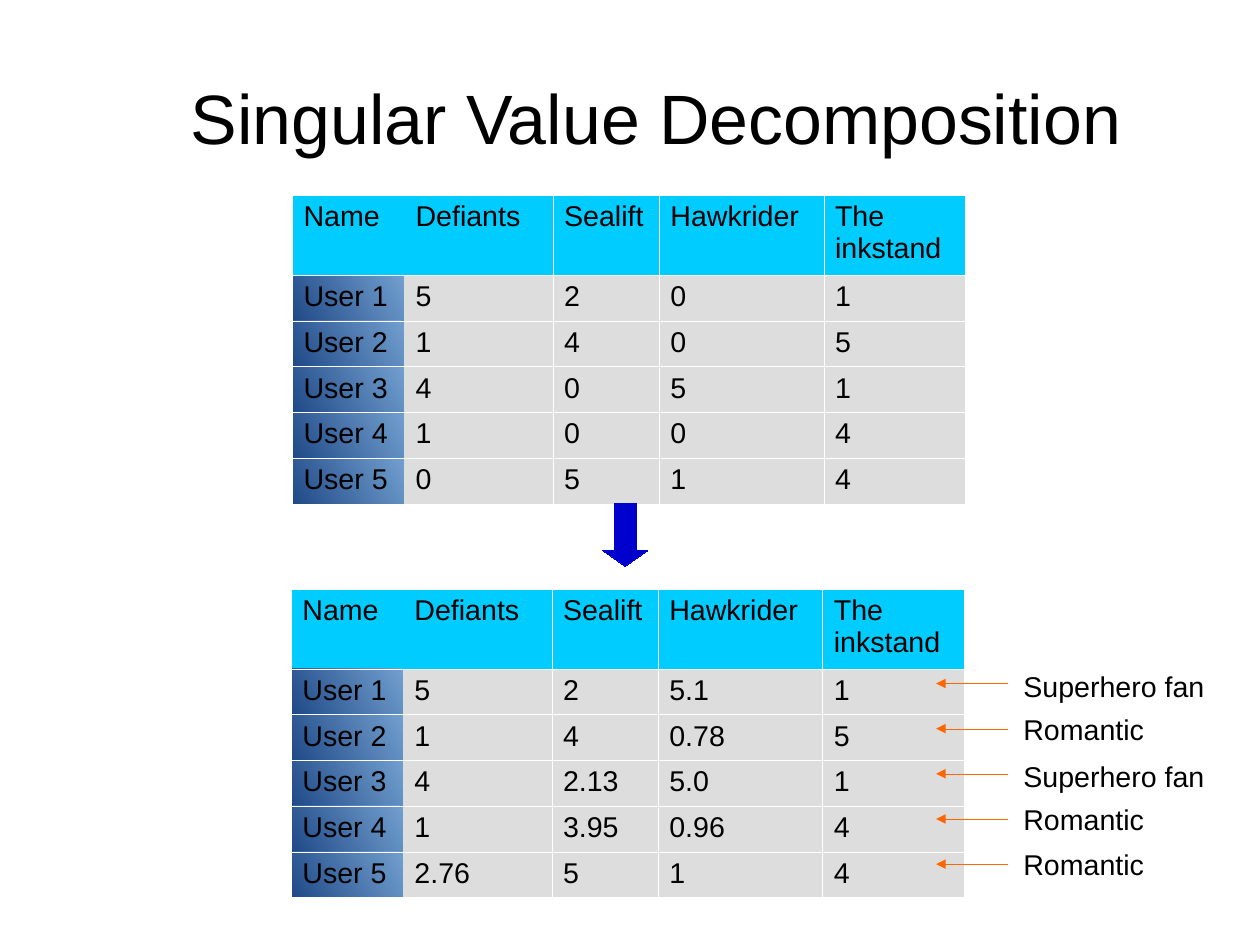
from dataclasses import dataclass

from lxml.etree import SubElement
from pptx import Presentation
from pptx.dml.color import RGBColor as Color
from pptx.enum.shapes import MSO_CONNECTOR as Connector, MSO_SHAPE as Preset
from pptx.enum.text import MSO_ANCHOR as Anchor, PP_ALIGN as Align
from pptx.oxml import parse_xml
from pptx.oxml.ns import nsdecls, qn
from pptx.slide import Slide
from pptx.table import _Cell as Cell
from pptx.text.text import TextFrame
from pptx.util import Cm, Inches, Pt


@dataclass(frozen=True)
class Theme:
    font: str = "Arial"
    title_size: float = 44
    body_size: float = 18
    ink: str = "000000"
    header: str = "00CCFF"
    value: str = "DDDDDD"
    user_light: str = "729FCF"
    user_dark: str = "204A87"
    border: str = "FFFFFF"
    down_arrow: str = "0000CC"
    pointer: str = "FF6600"


@dataclass(frozen=True)
class Box:
    column: float
    row: float
    columns: float
    rows: float

    def emu(self) -> tuple[int, int, int, int]:
        return grid(self.column), grid(self.row), grid(self.columns), grid(self.rows)


@dataclass(frozen=True)
class Ratings:
    column: float
    row: float
    scores: tuple[tuple[str, ...], ...]


@dataclass(frozen=True)
class Taste:
    text: str
    row: float


THEME = Theme()
GRID_STEP = 0.1
SLIDE_WIDTH, SLIDE_HEIGHT = Cm(28), Cm(21)
TITLE_BOX = Box(5.5, 3.3, 99.2, 13.8)
DOWN_ARROW_BOX = Box(52.75, 44.05, 3.9, 5.5)

HEADINGS = ("Name", "Defiants", "Sealift", "Hawkrider", "The inkstand")
COLUMN_WIDTHS = (9.8, 13, 9.3, 14.4, 12.4)
HEADER_HEIGHT, USER_HEIGHT = 7, 4

KNOWN = Ratings(25.56, 17.06, (
    ("5", "2", "0", "1"),
    ("1", "4", "0", "5"),
    ("4", "0", "5", "1"),
    ("1", "0", "0", "4"),
    ("0", "5", "1", "4"),
))
PREDICTED = Ratings(25.46, 51.5, (
    ("5", "2", "5.1", "1"),
    ("1", "4", "0.78", "5"),
    ("4", "2.13", "5.0", "1"),
    ("1", "3.95", "0.96", "4"),
    ("2.76", "5", "1", "4"),
))

TASTES = (
    Taste("Superhero fan", 58),
    Taste("Romantic", 61.8),
    Taste("Superhero fan", 65.9),
    Taste("Romantic", 69.7),
    Taste("Romantic", 73.6),
)
TASTE_COLUMN, TASTE_COLUMNS, TASTE_ROWS = 88.55, 18.9, 3.8
POINTER_START, POINTER_END = 81.9, 88.2
POINTER_ROW, POINTER_PITCH = 59.8, 3.95


def grid(steps: float) -> int:
    return Inches(steps * GRID_STEP)


def rgb(value: str) -> Color:
    return Color.from_string(value)


def write(frame: TextFrame, text: str, *, size: float = THEME.body_size,
          align: Align = Align.LEFT) -> None:
    paragraph = frame.paragraphs[0]
    paragraph.alignment = align
    run = paragraph.add_run()
    run.text = text
    run.font.name = THEME.font
    run.font.size = Pt(size)
    run.font.color.rgb = rgb(THEME.ink)


def add_text(slide: Slide, box: Box, text: str, **text_format) -> TextFrame:
    frame = slide.shapes.add_textbox(*box.emu()).text_frame
    frame.word_wrap = True
    write(frame, text, **text_format)
    return frame


def add_title(slide: Slide) -> None:
    frame = add_text(slide, TITLE_BOX, "Singular Value Decomposition",
                     size=THEME.title_size, align=Align.CENTER)
    frame.vertical_anchor = Anchor.MIDDLE
    frame.margin_top = frame.margin_right = frame.margin_bottom = 0
    frame.margin_left = grid(4.7)


def fill_cell(cell: Cell, row: int, column: int) -> None:
    if row and not column:
        cell.fill.gradient()
        cell.fill.gradient_angle = 210
        for stop, shade in zip(cell.fill.gradient_stops, (THEME.user_light, THEME.user_dark)):
            stop.color.rgb = rgb(shade)
    else:
        cell.fill.solid()
        cell.fill.fore_color.rgb = rgb(THEME.value if row else THEME.header)


def set_borders(cell: Cell, column: int) -> None:
    properties = cell._tc.get_or_add_tcPr()
    for index, side in enumerate("LRTB"):
        joined = (column, side) in ((0, "R"), (1, "L"))
        paint = "<a:noFill/>" if joined else (
            f'<a:solidFill><a:srgbClr val="{THEME.border}"/></a:solidFill>')
        line = parse_xml(f'<a:ln{side} {nsdecls("a")} w="{Pt(0.06)}">{paint}</a:ln{side}>')
        properties.insert(index, line)


def add_ratings(slide: Slide, ratings: Ratings) -> None:
    users = [(f"User {number}", *scores) for number, scores in enumerate(ratings.scores, 1)]
    rows = [HEADINGS, *users]
    heights = [HEADER_HEIGHT] + [USER_HEIGHT] * len(users)
    box = Box(ratings.column, ratings.row, sum(COLUMN_WIDTHS), sum(heights))
    table = slide.shapes.add_table(len(rows), len(HEADINGS), *box.emu()).table
    table.first_row = table.horz_banding = False
    for column, width in zip(table.columns, COLUMN_WIDTHS):
        column.width = grid(width)
    for row, height in zip(table.rows, heights):
        row.height = grid(height)
    for row, texts in enumerate(rows):
        for column, text in enumerate(texts):
            cell = table.cell(row, column)
            write(cell.text_frame, text)
            fill_cell(cell, row, column)
            set_borders(cell, column)


def set_hairline(shape, color: str) -> None:
    shape.line.color.rgb = rgb(color)
    shape._element.spPr.find(qn("a:ln")).set("w", "0")


def add_down_arrow(slide: Slide) -> None:
    arrow = slide.shapes.add_shape(Preset.DOWN_ARROW, *DOWN_ARROW_BOX.emu())
    arrow.shadow.inherit = False
    arrow.adjustments[0] = 0.5
    arrow.adjustments[1] = 0.35
    arrow.fill.solid()
    arrow.fill.fore_color.rgb = rgb(THEME.down_arrow)
    set_hairline(arrow, THEME.down_arrow)


def add_pointer(slide: Slide, row: float) -> None:
    pointer = slide.shapes.add_connector(
        Connector.STRAIGHT, grid(POINTER_START), grid(row), grid(POINTER_END), grid(row))
    set_hairline(pointer, THEME.pointer)
    properties = pointer._element.spPr
    SubElement(properties.find(qn("a:ln")), qn("a:headEnd"), type="triangle")
    SubElement(properties, qn("a:effectLst"))


def add_tastes(slide: Slide) -> None:
    for index, taste in enumerate(TASTES):
        add_text(slide, Box(TASTE_COLUMN, taste.row, TASTE_COLUMNS, TASTE_ROWS), taste.text)
        add_pointer(slide, POINTER_ROW + index * POINTER_PITCH)


def main() -> None:
    presentation = Presentation()
    presentation.slide_width = SLIDE_WIDTH
    presentation.slide_height = SLIDE_HEIGHT
    slide = presentation.slides.add_slide(presentation.slide_layouts[6])
    add_title(slide)
    for ratings in (KNOWN, PREDICTED):
        add_ratings(slide, ratings)
    add_down_arrow(slide)
    add_tastes(slide)
    presentation.save("out.pptx")


if __name__ == "__main__":
    main()
